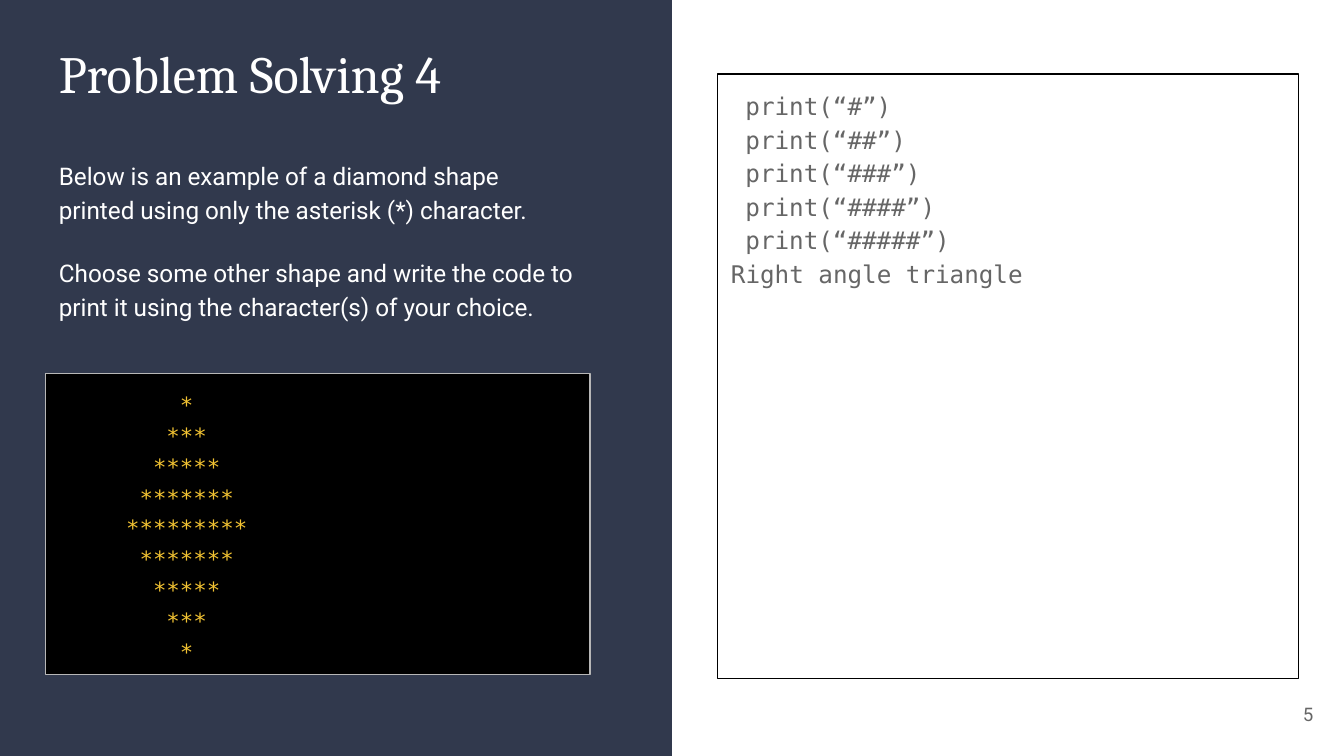
from dataclasses import dataclass

from pptx import Presentation
from pptx.dml.color import RGBColor
from pptx.enum.shapes import MSO_SHAPE
from pptx.enum.text import MSO_ANCHOR, PP_ALIGN
from pptx.util import Inches, Pt

RECTANGLE = MSO_SHAPE.RECTANGLE
TOP, MIDDLE = MSO_ANCHOR.TOP, MSO_ANCHOR.MIDDLE
LEFT, RIGHT = PP_ALIGN.LEFT, PP_ALIGN.RIGHT

SLIDE_WIDTH = 10
SLIDE_HEIGHT = SLIDE_WIDTH * 9 / 16
SERIF, SANS, MONO = "Cambria", "Roboto", "DejaVu Sans Mono"
NAVY, WHITE, BLACK = "31394D", "FFFFFF", "000000"
GRAY, SILVER, GOLD = "666666", "B7B7B7", "F1C232"
MONO_ADVANCE = 0.6
DIAMOND_CENTER = 9
DIAMOND_RADIUS = 4


@dataclass
class Box:
    left: float
    top: float
    width: float
    height: float


@dataclass
class Line:
    text: str
    indent: int = 0


def color(hex_value: str) -> RGBColor:
    return RGBColor.from_string(hex_value)


def add_panel(slide, box: Box, fill: str | None = None, line: str | None = None):
    shape = slide.shapes.add_shape(
        RECTANGLE, Inches(box.left), Inches(box.top), Inches(box.width), Inches(box.height)
    )
    shape.shadow.inherit = False
    if fill:
        shape.fill.solid()
        shape.fill.fore_color.rgb = color(fill)
    else:
        shape.fill.background()
    if line:
        shape.line.color.rgb = color(line)
        shape.line.width = Pt(0.75)
    else:
        shape.line.fill.background()
    return shape


def add_text_box(slide, box: Box):
    return slide.shapes.add_textbox(
        Inches(box.left), Inches(box.top), Inches(box.width), Inches(box.height)
    )


def write_text(shape, lines: list[Line], *, font: str, size: float, ink: str,
               spacing: float = 1.0, gap: float = 0,
               align=LEFT, anchor=TOP) -> None:
    frame = shape.text_frame
    frame.word_wrap = True
    frame.vertical_anchor = anchor
    frame.margin_left = frame.margin_right = Inches(0.1)
    frame.margin_top = frame.margin_bottom = Inches(0.1)
    for index, line in enumerate(lines):
        paragraph = frame.add_paragraph() if index else frame.paragraphs[0]
        paragraph.alignment = align
        paragraph.line_spacing = spacing
        paragraph.space_before = Pt(gap if index else 0)
        if line.indent:
            properties = paragraph._p.get_or_add_pPr()
            properties.set("marL", str(Pt(line.indent * size * MONO_ADVANCE)))
            properties.set("indent", "0")
        run = paragraph.add_run()
        run.text = line.text
        run.font.name = font
        run.font.size = Pt(size)
        run.font.color.rgb = color(ink)


def diamond_lines() -> list[Line]:
    reaches = [DIAMOND_RADIUS - abs(row) for row in range(-DIAMOND_RADIUS, DIAMOND_RADIUS + 1)]
    return [Line("*" * (2 * reach + 1), DIAMOND_CENTER - reach) for reach in reaches]


def main() -> None:
    presentation = Presentation()
    presentation.slide_width = Inches(SLIDE_WIDTH)
    presentation.slide_height = Inches(SLIDE_HEIGHT)
    slide = presentation.slides.add_slide(presentation.slide_layouts[6])

    add_panel(slide, Box(0, 0, SLIDE_WIDTH / 2, SLIDE_HEIGHT), fill=NAVY)

    page_number = add_text_box(slide, Box(9.27, 5.1, 0.6, 0.43))
    write_text(page_number, [Line("5")], font=SANS, size=10, ink=GRAY,
               align=RIGHT, anchor=MIDDLE)

    title = add_text_box(slide, Box(0.34, 0.21, 4.05, 2.24))
    write_text(title, [Line("Problem Solving 4")], font=SERIF, size=28, ink=WHITE)

    answer = add_panel(slide, Box(5.34, 0.55, 4.32, 4.5), line=BLACK)
    triangle = [Line(f"print(“{'#' * count}”)", 1) for count in range(1, 6)]
    write_text(answer, triangle + [Line("Right angle triangle")],
               font=MONO, size=13, ink=GRAY, spacing=1.15)

    task = add_text_box(slide, Box(0.34, 1.07, 4.05, 1.42))
    instructions = [
        Line("Below is an example of a diamond shape printed using only "
             "the asterisk (*) character."),
        Line("Choose some other shape and write the code to print it using "
             "the character(s) of your choice."),
    ]
    write_text(task, instructions, font=SANS, size=13, ink=WHITE, spacing=1.15, gap=16)

    console = add_panel(slide, Box(0.34, 2.78, 4.05, 2.24), fill=BLACK, line=SILVER)
    write_text(console, diamond_lines(), font=MONO, size=12, ink=GOLD, spacing=1.15)

    presentation.save("out.pptx")


if __name__ == "__main__":
    main()
